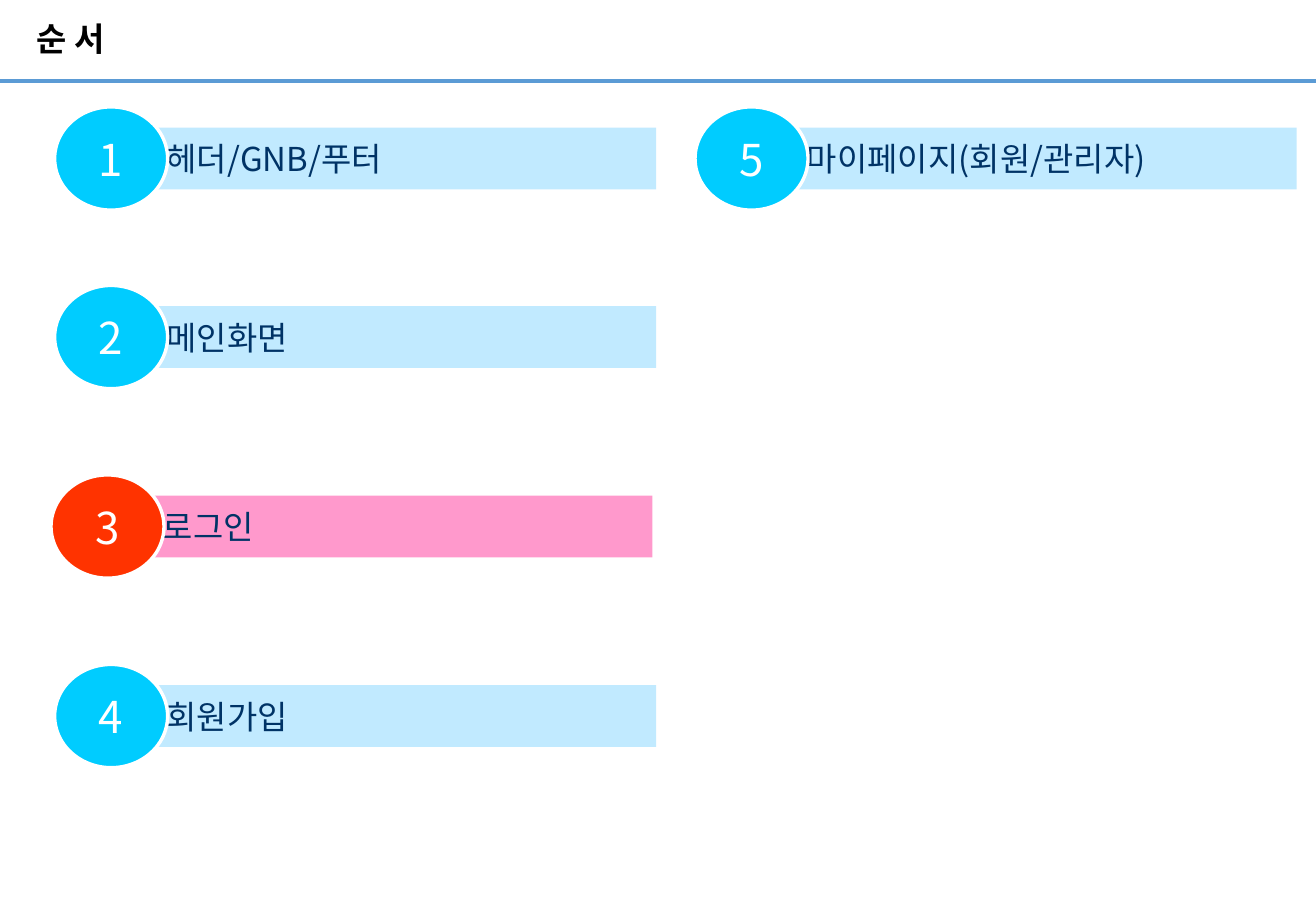
from lxml.etree import SubElement
from pptx import Presentation
from pptx.dml.color import RGBColor as Rgb
from pptx.enum.shapes import MSO_CONNECTOR as Connector, MSO_SHAPE as Shape
from pptx.enum.text import MSO_ANCHOR as Anchor, PP_ALIGN as Align
from pptx.oxml.ns import qn
from pptx.util import Inches, Pt

COLORS = {
    "rule": "5B9BD5", "title": "000000", "label": "003366", "white": "FFFFFF",
    "bar": "C1EAFF", "badge": "00CCFF",
    "current_bar": "FF99CC", "current_badge": "FF3300",
}
KOREAN = "Noto Sans CJK KR"
WIDTH, HEIGHT = 10.83, 7.5
COLUMNS = (0.45, 5.72)
ROWS = (0.88, 2.35, 3.91, 5.47)
BADGE_W, BADGE_H = 0.93, 0.85
BAR_W, BAR_H = 4.58, 0.51
CURRENT_SHIFT = -0.03
TOPICS = ("헤더/GNB/푸터", "메인화면", "로그인", "회원가입", "마이페이지(회원/관리자)")
CURRENT = 3


def color(name):
    """Return the palette colour with this name."""
    return Rgb.from_string(COLORS[name])


def write(holder, text, size, ink, font=KOREAN, bold=False, align=Align.LEFT,
          left=0, spacing=1.0):
    """Write one formatted paragraph, centred vertically in its holder."""
    frame = holder.text_frame
    frame.word_wrap = True
    frame.vertical_anchor = Anchor.MIDDLE
    frame.margin_left = Inches(left)
    frame.margin_top = frame.margin_right = frame.margin_bottom = 0
    line = frame.paragraphs[0]
    line.alignment, line.line_spacing = align, spacing
    run = line.add_run()
    run.text = text
    run.font.size, run.font.bold, run.font.name = Pt(size), bold, font
    run.font.color.rgb = color(ink)
    SubElement(run.font._element, qn("a:ea")).set("typeface", KOREAN)


def add_block(slide, kind, left, top, width, height, fill, outline=None):
    """Add a filled preset shape, outlined only when a colour is given."""
    block = slide.shapes.add_shape(
        kind, Inches(left), Inches(top), Inches(width), Inches(height))
    block.shadow.inherit = False
    block.fill.solid()
    block.fill.fore_color.rgb = color(fill)
    if outline:
        block.line.color.rgb = color(outline)
        block.line.width = Pt(2)
    else:
        block.line.fill.background()
    return block


def add_topic(slide, number, topic):
    """Add a numbered topic, going down each column in turn."""
    column, row = divmod(number - 1, len(ROWS))
    left, top = COLUMNS[column], ROWS[row]
    prefix = ""
    if number == CURRENT:
        left, prefix = left + CURRENT_SHIFT, "current_"
    bar = add_block(slide, Shape.RECTANGLE, left + 0.37,
                    top + (BADGE_H - BAR_H) / 2, BAR_W, BAR_H, prefix + "bar")
    write(bar, topic, 19.5, "label", left=0.55)
    badge = add_block(slide, Shape.OVAL, left, top, BADGE_W, BADGE_H,
                      prefix + "badge", outline="white")
    write(badge, str(number), 26, "white", align=Align.CENTER)


def add_header(slide):
    """Add the rule across the slide and the title above it."""
    level = Inches(0.67)
    rule = slide.shapes.add_connector(
        Connector.STRAIGHT, 0, level, Inches(WIDTH), level)
    rule.line.color.rgb = color("rule")
    rule.line.width = Pt(2.25)
    SubElement(rule._element.spPr, qn("a:effectLst"))
    title = slide.shapes.add_textbox(
        Inches(0.3), 0, Inches(7.09), Inches(0.68))
    write(title, "순 서", 19.5, "title", font="Arial", bold=True, spacing=0.9)


def main():
    """Build the contents slide and save it."""
    deck = Presentation()
    deck.slide_width, deck.slide_height = Inches(WIDTH), Inches(HEIGHT)
    slide = deck.slides.add_slide(deck.slide_layouts[6])
    add_header(slide)
    for number, topic in enumerate(TOPICS, 1):
        add_topic(slide, number, topic)
    deck.save("out.pptx")


if __name__ == "__main__":
    main()
